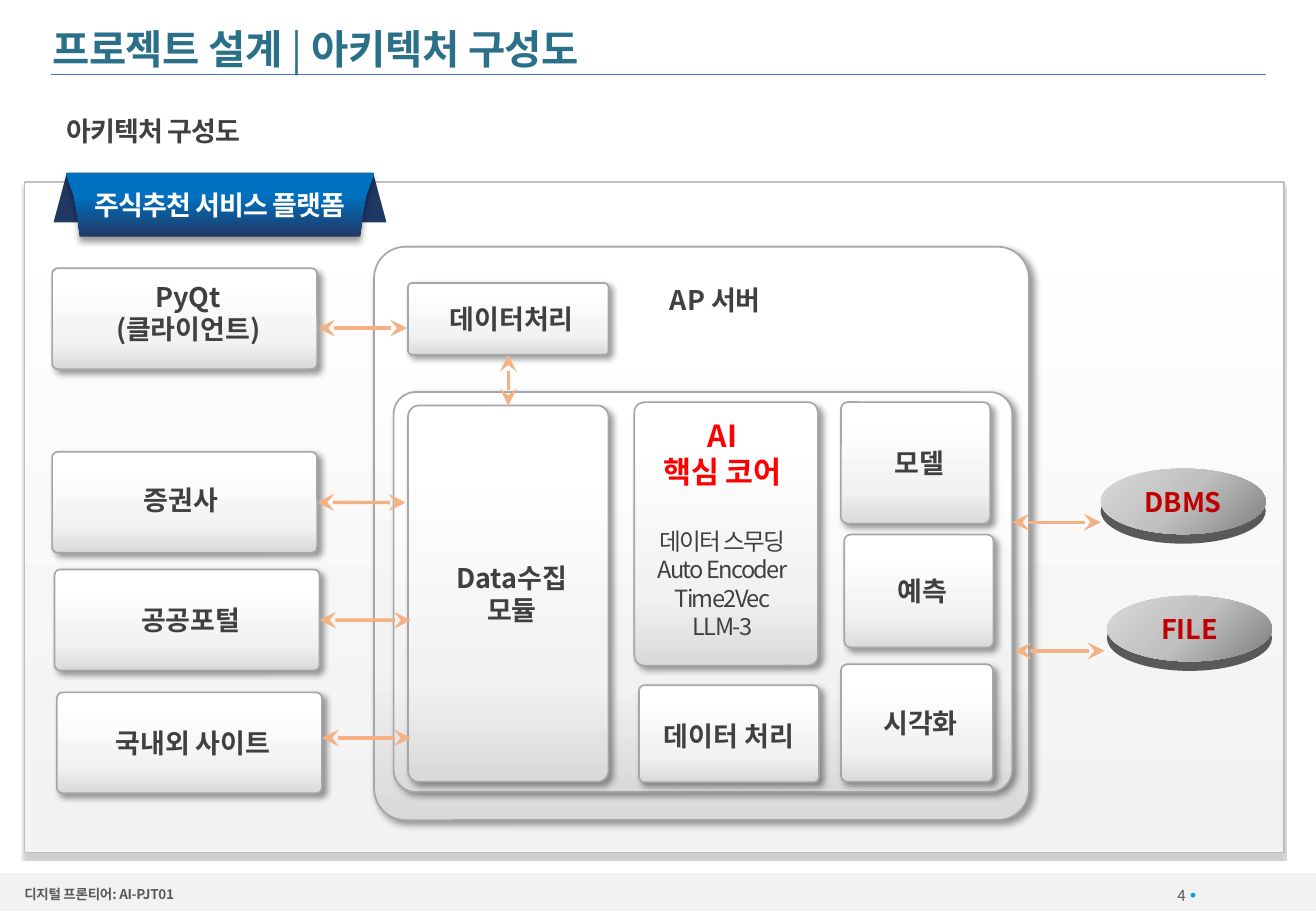
"""Build the architecture slide of a stock recommendation service."""
from lxml.etree import SubElement
from pptx import Presentation
from pptx.dml.color import RGBColor
from pptx.enum.shapes import MSO_CONNECTOR, MSO_SHAPE as Shape
from pptx.enum.text import MSO_ANCHOR as Anchor, PP_ALIGN as Align
from pptx.oxml.ns import qn
from pptx.util import Cm, Pt

FONT = "Noto Sans CJK KR"
INK = "404040"
METAL = [(0, "D9D9D9"), (27, "F2F2F2"), (86, "FFFFFF"), (100, "FFFFFF")]
BOX_SHADOW = (40, 4, 3, 45)


def color(hex_text):
    return RGBColor.from_string(hex_text)


class Diagram:
    def __init__(self, slide):
        self.slide = slide
        self.shapes = slide.shapes

    def paint(self, shape, fill, angle=90, line=None, shadow=None):
        if isinstance(fill, str):
            shape.fill.solid()
            shape.fill.fore_color.rgb = color(fill)
        else:
            shape.fill.gradient()
            shape.fill.gradient_angle = angle
            stops = shape._element.spPr.find(".//" + qn("a:gsLst"))
            stops.clear()
            for position, tone in fill:
                stop = SubElement(stops, qn("a:gs"), pos=str(position * 1000))
                SubElement(stop, qn("a:srgbClr"), val=tone)
        if line:
            shape.line.color.rgb = color(line)
            shape.line.width = Pt(1)
        else:
            shape.line.fill.background()
        shape.shadow.inherit = False
        if shadow:
            alpha, blur, distance, direction = shadow
            effects = shape._element.spPr.find(qn("a:effectLst"))
            outer = SubElement(effects, qn("a:outerShdw"), blurRad=str(Pt(blur)),
                               dist=str(Pt(distance)), dir=str(direction * 60000),
                               algn="t", rotWithShape="0")
            black = SubElement(outer, qn("a:srgbClr"), val="000000")
            SubElement(black, qn("a:alpha"), val=str(alpha * 1000))
        return shape

    def shape(self, kind, at, fill, adjust=None, **look):
        shape = self.shapes.add_shape(kind, *map(Cm, at))
        if adjust is not None:
            shape.adjustments[0] = adjust
        return self.paint(shape, fill, **look)

    def add_lines(self, shape, lines, tone=INK, size=16, bold=True, spacing=0,
                  before=0, align=Align.CENTER, inset=(0, 0, 0, 0), **frame_format):
        frame = shape.text_frame
        left, top, right, bottom = map(Cm, inset)
        settings = {"margin_left": left, "margin_top": top, "margin_right": right,
                    "margin_bottom": bottom, "word_wrap": True,
                    "vertical_anchor": Anchor.MIDDLE, **frame_format}
        for name, value in settings.items():
            setattr(frame, name, value)
        for index, line in enumerate(lines):
            paragraph = frame.add_paragraph() if frame.text else frame.paragraphs[0]
            paragraph.alignment = align
            paragraph.line_spacing = Pt(size * 1.2)
            paragraph.space_before = Pt(0 if index else before)
            for text, heavy in [(line, bold)] if isinstance(line, str) else line:
                run = paragraph.add_run()
                run.text = text
                for name, value in {"name": FONT, "size": Pt(size), "bold": heavy}.items():
                    setattr(run.font, name, value)
                run.font.color.rgb = color(tone)
                properties = run.font._element
                properties.set("spc", str(int(spacing * 100)))
                SubElement(properties, qn("a:ea"), typeface=FONT)

    def text(self, at, lines, **style):
        self.add_lines(self.shapes.add_textbox(*map(Cm, at)), lines, **style)

    def box(self, at, lines=(), **style):
        box = self.shape(Shape.ROUNDED_RECTANGLE, at, METAL, adjust=0.055,
                         line="A6A6A6", shadow=BOX_SHADOW)
        if lines:
            self.add_lines(box, lines, **{"inset": (0.15, 0, 0, 0), **style})
        return box

    def ribbon(self, center, half_edge, label):
        mirrored = [(-x, y) for x, y in reversed(half_edge)]
        points = [(Cm(center + x), Cm(y)) for x, y in half_edge + mirrored]
        builder = self.shapes.build_freeform(*points[0])
        builder.add_line_segments(points[1:], close=True)
        ribbon = self.paint(builder.convert_to_shape(), [(0, "203864"), (63, "0070C0")],
                            shadow=(40, 4, 3, 90))
        self.add_lines(ribbon, [label], tone="FFFFFF", spacing=-0.5, word_wrap=False)

    def disc(self, left, top, label):
        width, height, depth = 3.45, 1.37, 0.2
        self.shape(Shape.OVAL, (left, top + depth, width, height), "595959")
        face = self.shape(Shape.OVAL, (left, top, width, height),
                          [(0, "D9D9D9"), (50, "BFBFBF"), (100, "808080")], angle=315)
        self.add_lines(face, [label], tone="C00000")

    def line(self, ends, tone, width):
        line = self.shapes.add_connector(MSO_CONNECTOR.STRAIGHT, *map(Cm, ends))
        line.line.color.rgb = color(tone)
        line.line.width = Pt(width)
        SubElement(line._element.spPr, qn("a:effectLst"))
        return line

    def arrow(self, ends, begin=None, end=None):
        arrow = self.line(ends, "F4B183", 2)
        stroke = arrow._element.spPr.find(qn("a:ln"))
        for tag in ("a:headEnd", "a:tailEnd"):
            SubElement(stroke, qn(tag), type="stealth", w="lg", len="lg")
        if begin:
            arrow.begin_connect(*begin)
        if end:
            arrow.end_connect(*end)


def main():
    deck = Presentation()
    deck.slide_width, deck.slide_height = Cm(27.51), Cm(19.05)
    page = Diagram(deck.slides.add_slide(deck.slide_layouts[6]))

    page.shape(Shape.RECTANGLE, (0, 18.26, 27.51, 0.79), "F2F2F2")
    page.shape(Shape.OVAL, (24.89, 18.67, 0.1, 0.1), "00A3DF")
    page.text((23.01, 18.47, 1.78, 0.51), ["4"], tone="595959", size=9, bold=False,
              align=Align.RIGHT)
    page.text((0.51, 18.54, 11.28, 0.33), ["디지털 프론티어: AI-PJT01"], tone="595959",
              size=8, spacing=-0.2, align=Align.LEFT)
    page.line((1.07, 1.55, 26.47, 1.55), "4472C4", 0.5)
    page.text((1.09, 0.46, 25.37, 1.12),
              [[("프로젝트 설계 ", True), ("| ", False), ("아키텍처 구성도", True)]],
              tone="2B7089", size=24, spacing=-0.2, align=Align.LEFT, word_wrap=False)
    page.text((1.39, 2.26, 17.96, 0.94), ["아키텍처 구성도"], spacing=-0.5, align=Align.LEFT)

    page.shape(Shape.RECTANGLE, (0.51, 3.81, 26.34, 14.02), [(0, "FFFFFF"), (100, "F2F2F2")],
               angle=270, line="BFBFBF", shadow=(20, 1, 3, 90))
    page.box((7.82, 5.16, 13.69, 11.99))
    page.text((9.8, 5.79, 10.31, 0.94), ["AP 서버"])
    page.shape(Shape.TRAPEZOID, (1.12, 3.61, 6.96, 1.04), "203864", adjust=0.27)
    page.box((8.23, 8.2, 12.93, 8.36))
    page.ribbon(4.6, [(3.22, 3.61), (3.17, 3.76), (3.05, 4.1), (2.98, 4.5), (2.93, 4.95)],
                "주식추천 서비스 플랫폼")

    source_size = (5.54, 2.11)
    page.box((1.09, 5.61, *source_size), ["PyQt", "(클라이언트)"], inset=(0.15, 0, 0, 0.25))
    broker = page.box((1.09, 9.45, *source_size), ["증권사"], inset=(0, 0, 0.15, 0.1))
    portal = page.box((1.14, 11.91, *source_size), ["공공포털"])
    page.box((1.19, 14.48, *source_size), ["국내외 사이트"])

    processing = page.box((8.53, 5.92, 4.19, 1.5), ["데이터처리"])
    collector = page.box((8.53, 8.48, 4.19, 7.87), ["Data수집", "모듈"])
    core = page.box((13.26, 8.41, 3.84, 5.51))
    core_frame = {"inset": (0, 0.25, 0.15, 0), "vertical_anchor": Anchor.TOP}
    page.add_lines(core, ["AI", "핵심 코어"], tone="FF0000", size=18, **core_frame)
    page.add_lines(core, ["데이터 스무딩", "Auto Encoder", "Time2Vec", "LLM-3"], size=14,
                   bold=False, spacing=-1, before=22, **core_frame)
    page.box((13.36, 14.33, 3.76, 2.03), ["데이터 처리"], inset=(0, 0.1, 0, 0))
    page.box((17.58, 8.41, 3.12, 2.54), ["모델"])
    page.box((17.65, 11.18, 3.12, 2.36), ["예측"])
    page.box((17.58, 13.89, 3.18, 2.46), ["시각화"])

    page.disc(23.01, 9.8, "DBMS")
    page.disc(23.14, 12.46, "FILE")

    page.arrow((6.65, 6.86, 8.51, 6.86))
    page.arrow((6.63, 10.51, 8.48, 10.51), begin=(broker, 3))
    page.arrow((6.68, 12.97, 8.59, 12.97), begin=(portal, 3))
    page.arrow((6.73, 15.43, 8.59, 15.43))
    page.arrow((10.63, 7.42, 10.63, 8.48), begin=(processing, 2), end=(collector, 0))
    page.arrow((21.16, 10.92, 23.01, 10.92))
    page.arrow((21.21, 13.61, 23.09, 13.61))

    deck.save("out.pptx")


if __name__ == "__main__":
    main()
